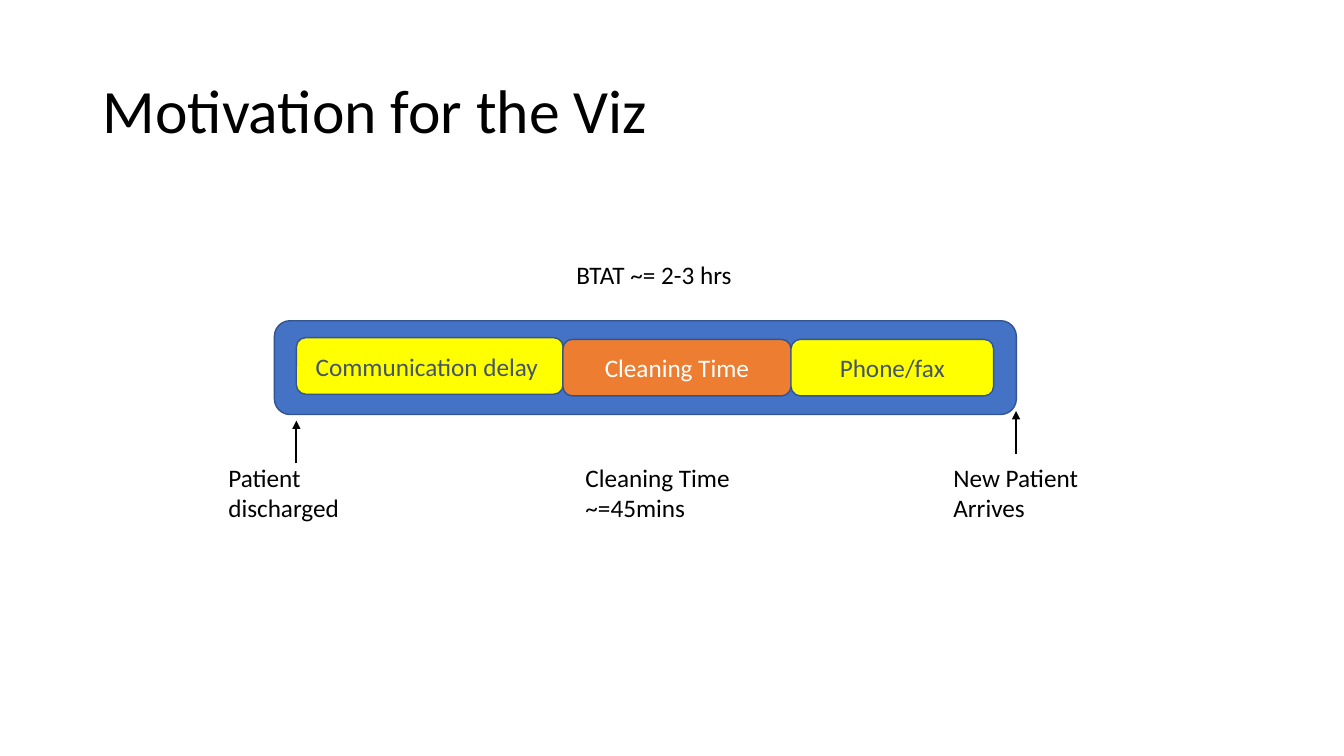
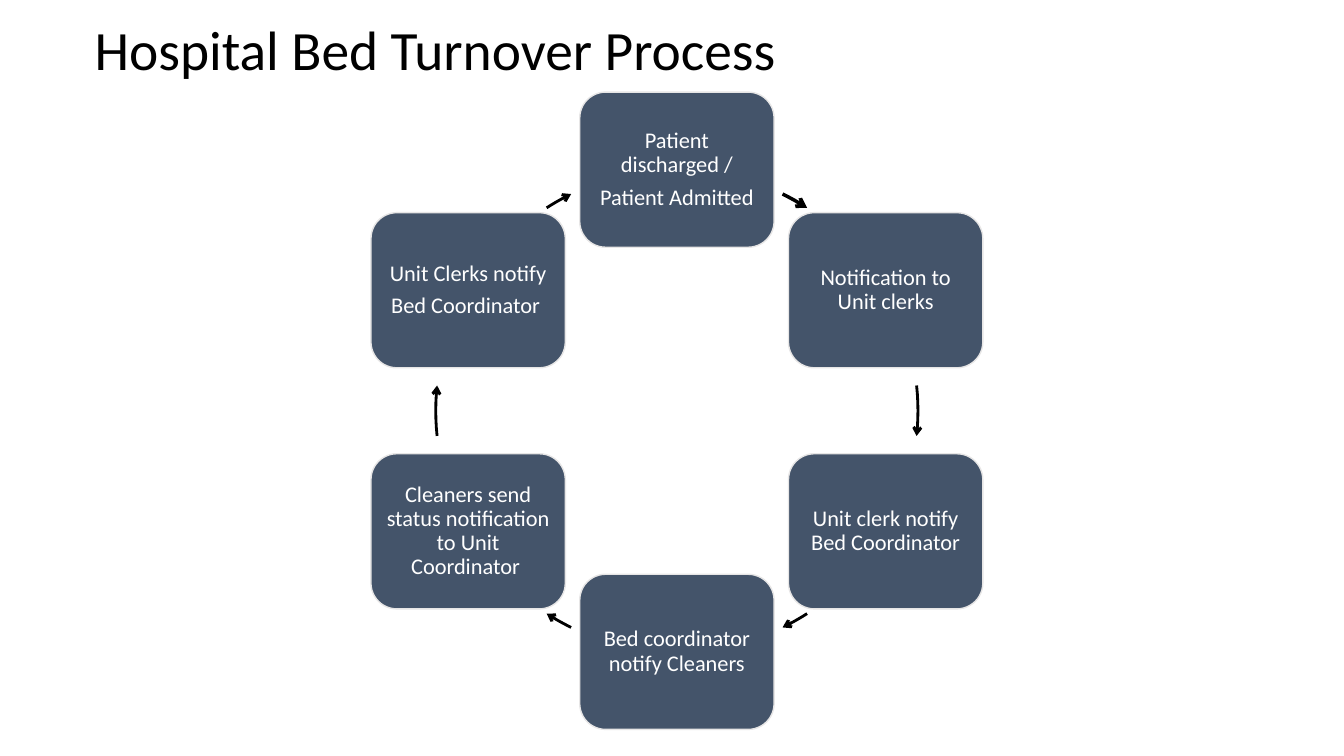
from math import sin, cos, radians
from lxml.etree import SubElement
from pptx import Presentation
from pptx.dml.color import RGBColor
from pptx.enum.shapes import MSO_CONNECTOR, MSO_SHAPE
from pptx.enum.text import MSO_ANCHOR as ANCHOR, PP_ALIGN as ALIGN
from pptx.oxml.ns import qn
from pptx.util import Pt

# Shared style
FONT = "Calibri"
BLACK = RGBColor(0x00, 0x00, 0x00)
WHITE = RGBColor(0xFF, 0xFF, 0xFF)
BLUE = RGBColor(0x44, 0x72, 0xC4)
EDGE = RGBColor(0x32, 0x54, 0x91)
YELLOW = RGBColor(0xFF, 0xFF, 0x00)
ORANGE = RGBColor(0xED, 0x7D, 0x31)
SLATE = RGBColor(0x44, 0x54, 0x6A)
PALE = RGBColor(0xE7, 0xE6, 0xE6)

# Timeline: title and labels as (text, left, top, width, height)
MOTIVATION = ("Motivation for the Viz", 66.24, 28.8, 828, 104.4)
BAR = (196, 229.1, 530, 67)
CHIP_H = 40.4
CHIPS = [  # text, left, top, width, fill, font colour
    ("Communication delay ", 211.7, 241.2, 190.6, YELLOW, SLATE),
    ("Cleaning Time", 402.1, 242.4, 162.9, ORANGE, WHITE),
    ("Phone/fax", 565, 242.4, 144.7, YELLOW, SLATE),
]
LABELS = [
    ("BTAT ~= 2-3 hrs", 404.6, 181.8, 206, 29),
    ("New Patient Arrives", 673.9, 326.6, 104.4, 51),
    ("Patient discharged", 156, 326.6, 104.4, 51),
    ("Cleaning Time ~=45mins", 411.1, 326.6, 177, 51),
]
MARKERS = [(211.7, 331, 300.5), (725.8, 324.2, 293.6)]  # x, from y, to y

# Cycle: steps run clockwise from the top
PROCESS = ("Hospital Bed Turnover Process", 60.5, 12.8, 828, 49)
STEPS = [
    ["Patient discharged /", "Patient Admitted"],
    ["Notification to Unit clerks"],
    ["Unit clerk notify Bed Coordinator"],
    ["Bed coordinator notify Cleaners"],
    ["Cleaners send status notification to Unit Coordinator "],
    ["Unit Clerks notify", "Bed Coordinator "],
]
CENTER_X, CENTER_Y, RADIUS = 483.5, 293.4, 172.2
STEP_W, STEP_H = 138.8, 110.8
ARCS = [  # start angle, end angle, line width
    (26, 32.7, 2.5), (84, 96, 2), (147.3, 154, 2),
    (206, 212.7, 2), (264, 276, 2), (327.3, 334, 2),
]
ARC_PARTS = 6


def put_text(shape, *lines, size=18, color=BLACK, align=ALIGN.LEFT,
             anchor=ANCHOR.TOP, spacing=1.0, after=0, inset=None):
    tf = shape.text_frame
    tf.word_wrap = True
    tf.vertical_anchor = anchor
    if inset is not None:
        tf.margin_left = tf.margin_right = Pt(inset)
        tf.margin_top = tf.margin_bottom = Pt(inset)
    for i, line in enumerate(lines):
        p = tf.add_paragraph() if i else tf.paragraphs[0]
        p.alignment, p.line_spacing, p.space_after = align, spacing, Pt(after)
        r = p.add_run()
        r.text = line
        r.font.name, r.font.size, r.font.color.rgb = FONT, Pt(size), color


def add_text(s, text, *box, **fmt):
    put_text(s.shapes.add_textbox(*map(Pt, box)), text, **fmt)


def add_title(s, title, size):
    add_text(s, *title, size=size, anchor=ANCHOR.MIDDLE, spacing=0.9)


def add_box(s, *box, fill, line):
    sp = s.shapes.add_shape(MSO_SHAPE.ROUNDED_RECTANGLE, *map(Pt, box))
    sp.shadow.inherit = False
    sp.fill.solid()
    sp.fill.fore_color.rgb = fill
    sp.line.color.rgb = line
    sp.line.width = Pt(1)
    return sp


def make_arrow(sp, width, head):
    sp.line.color.rgb = BLACK
    sp.line.width = Pt(width)
    SubElement(sp.line._get_or_add_ln(), qn("a:tailEnd"), type=head)
    SubElement(sp._element.spPr, qn("a:effectLst"))


def on_circle(angle):
    a = radians(angle)
    return CENTER_X + RADIUS * sin(a), CENTER_Y - RADIUS * cos(a)


def add_arc(s, start, end):
    angles = [start + (end - start) * k / ARC_PARTS for k in range(ARC_PARTS + 1)]
    points = [tuple(map(Pt, on_circle(a))) for a in angles]
    builder = s.shapes.build_freeform(*points[0])
    builder.add_line_segments(points[1:], close=False)
    sp = builder.convert_to_shape()
    sp.fill.background()
    # Widen the frame to the whole circle, keeping the arc in place
    left, top, size = Pt(CENTER_X - RADIUS), Pt(CENTER_Y - RADIUS), Pt(2 * RADIUS)
    outline = next(sp._element.iter(qn("a:path")))
    for pt in outline.iter(qn("a:pt")):
        pt.set("x", str(int(pt.get("x")) + sp.left - left))
        pt.set("y", str(int(pt.get("y")) + sp.top - top))
    outline.set("w", str(int(size)))
    outline.set("h", str(int(size)))
    sp.left, sp.top, sp.width, sp.height = left, top, size, size
    return sp


prs = Presentation()
prs.slide_width, prs.slide_height = Pt(960), Pt(540)
blank = prs.slide_layouts[6]

# Slide 1: timeline
s = prs.slides.add_slide(blank)
add_title(s, MOTIVATION, 44)
add_box(s, *BAR, fill=BLUE, line=EDGE)
for text, x, y, w, fill, color in CHIPS:
    sp = add_box(s, x, y, w, CHIP_H, fill=fill, line=EDGE)
    put_text(sp, text, color=color, align=ALIGN.CENTER, anchor=ANCHOR.MIDDLE)
for label in LABELS:
    add_text(s, *label)
for x, y1, y2 in MARKERS:
    sp = s.shapes.add_connector(MSO_CONNECTOR.STRAIGHT, Pt(x), Pt(y1), Pt(x), Pt(y2))
    make_arrow(sp, 1.5, "triangle")

# Slide 2: cycle
s = prs.slides.add_slide(blank)
add_title(s, PROCESS, 39.6)
for i, (lines, (start, end, width)) in enumerate(zip(STEPS, ARCS)):
    x, y = on_circle(i * 360 / len(STEPS))
    sp = add_box(s, x - STEP_W / 2, y - STEP_H / 2, STEP_W, STEP_H, fill=SLATE, line=PALE)
    put_text(sp, *lines, size=16, color=WHITE, align=ALIGN.CENTER,
             anchor=ANCHOR.MIDDLE, spacing=0.9, after=5.6, inset=4.8)
    make_arrow(add_arc(s, start, end), width, "arrow")

prs.save("out.pptx")
